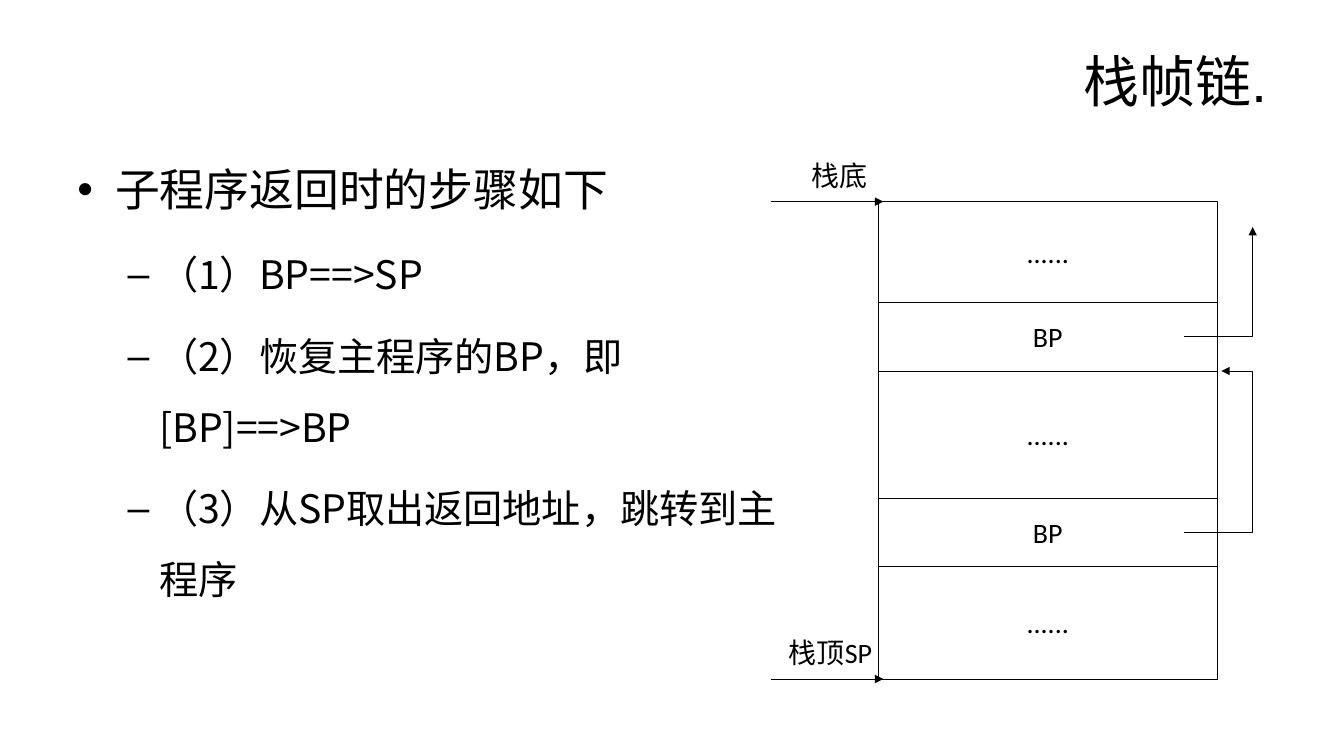
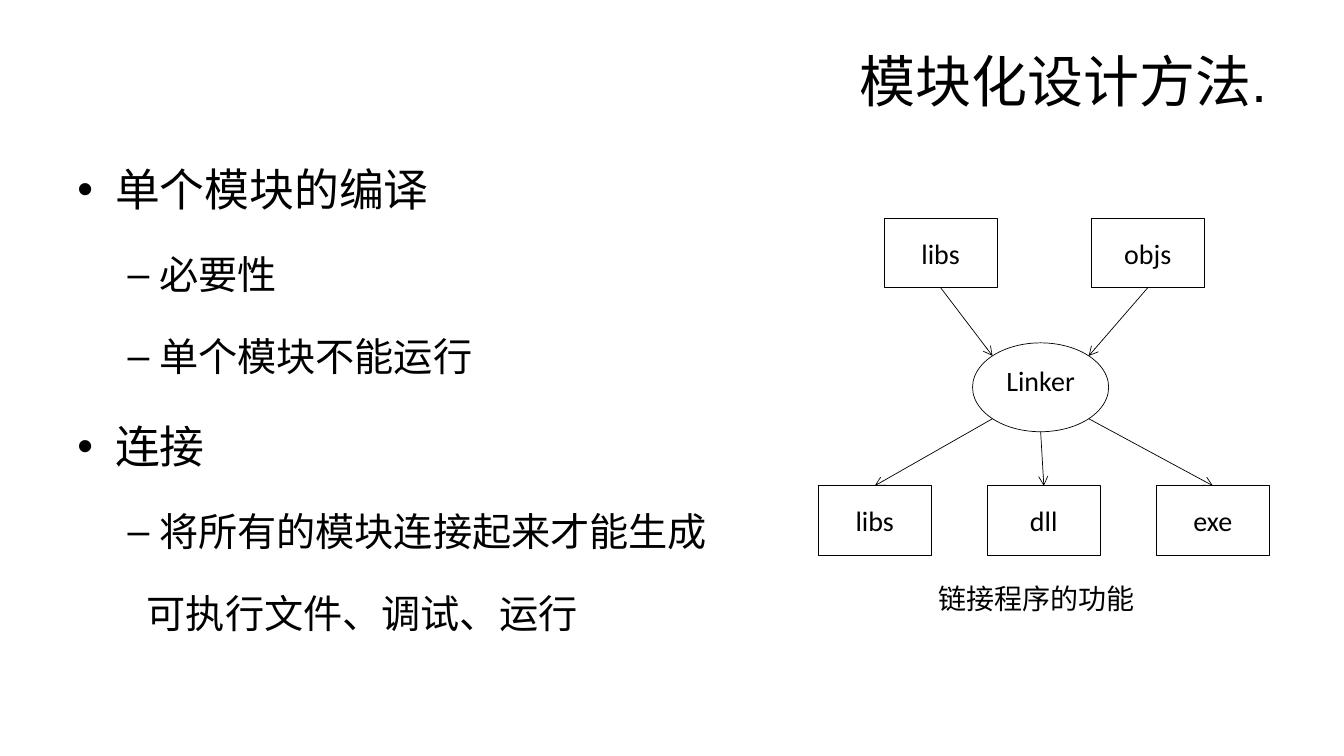
import math

import lxml.etree
import pptx
import pptx.dml.color
import pptx.enum.shapes
import pptx.enum.text
import pptx.oxml.ns
import pptx.util

Cm = pptx.util.Cm
Pt = pptx.util.Pt
qn = pptx.oxml.ns.qn
ALIGN = pptx.enum.text.PP_ALIGN
MIDDLE = pptx.enum.text.MSO_ANCHOR.MIDDLE
SHAPES = pptx.enum.shapes.MSO_SHAPE
STRAIGHT = pptx.enum.shapes.MSO_CONNECTOR.STRAIGHT


def color(hex_text):
    return pptx.dml.color.RGBColor.from_string(hex_text)


def write(paragraph, text, size=20, font="Calibri", ink="000000",
          align=ALIGN.CENTER, before=0, spacing=None):
    """Put formatted text into a paragraph."""
    paragraph.alignment = align
    paragraph.space_before = Pt(before)
    if spacing:
        paragraph.line_spacing = spacing
    run = paragraph.add_run()
    run.text = text
    run.font.size = Pt(size)
    run.font.name = font
    run.font.color.rgb = color(ink)
    east_asian = lxml.etree.SubElement(run.font._element, qn("a:ea"))
    east_asian.set("typeface", Deck.BODY_FONT)


class Deck:
    INK = "000000"
    PAPER = "FFFFFF"
    TITLE_FONT = "Arial"
    BODY_FONT = "Noto Sans CJK SC"
    MARGIN = 1.7
    # Per level: size, space before, left margin, hanging indent, bullet
    LEVELS = [
        (32, 9, 0.95, -0.95, "•"),
        (28, 8, 2.06, -0.79, "–"),
        (28, 8, 1.75, 0, None),
    ]

    def __init__(self):
        self.presentation = pptx.Presentation()
        self.presentation.slide_width = Cm(33.87)
        self.presentation.slide_height = Cm(19.05)
        self.slide = None

    def new_slide(self, heading):
        layout = self.presentation.slide_layouts[5]
        self.slide = self.presentation.slides.add_slide(layout)
        self.slide.background.fill.solid()
        self.slide.background.fill.fore_color.rgb = color(self.PAPER)
        title = self.slide.shapes.title
        title.left, title.top = Cm(self.MARGIN), Cm(0.76)
        title.width, title.height = Cm(30.48), Cm(2.51)
        title.text_frame.vertical_anchor = MIDDLE
        write(title.text_frame.paragraphs[0], heading, size=40,
              font=self.TITLE_FONT, align=ALIGN.RIGHT)

    def outline(self, points):
        """Bulleted text; each point is (level, text)."""
        box = self.slide.shapes.add_textbox(
            Cm(self.MARGIN), Cm(3.28), Cm(18.67), Cm(13.74))
        frame = box.text_frame
        frame.word_wrap = True
        for index, (level, text) in enumerate(points):
            paragraph = frame.add_paragraph() if index else frame.paragraphs[0]
            size, before, margin, indent, bullet = self.LEVELS[level]
            properties = paragraph._p.get_or_add_pPr()
            properties.set("marL", str(Cm(margin)))
            properties.set("indent", str(Cm(indent)))
            if bullet:
                lxml.etree.SubElement(properties, qn("a:buFont")).set("typeface", "Arial")
                lxml.etree.SubElement(properties, qn("a:buChar")).set("char", bullet)
            else:
                lxml.etree.SubElement(properties, qn("a:buNone"))
            write(paragraph, text, size=size, font=self.BODY_FONT,
                  align=ALIGN.LEFT, before=before if index else 0, spacing=1.5)

    def _center(self, frame, text, bottom=0):
        frame.margin_left = frame.margin_right = frame.margin_top = 0
        frame.margin_bottom = Cm(bottom)
        frame.word_wrap = True
        frame.vertical_anchor = MIDDLE
        write(frame.paragraphs[0], text)

    def _stroke(self, shape, head=None):
        shape.line.color.rgb = color(self.INK)
        shape.line.width = Pt(0.5)
        if head:
            line = shape._element.spPr.find(qn("a:ln"))
            lxml.etree.SubElement(line, qn("a:tailEnd")).set("type", head)

    def node(self, text, left, top, width, height, kind=SHAPES.RECTANGLE, bottom=0):
        shape = self.slide.shapes.add_shape(
            kind, Cm(left), Cm(top), Cm(width), Cm(height))
        shape.shadow.inherit = False
        shape.fill.background()
        self._stroke(shape)
        self._center(shape.text_frame, text, bottom)
        return shape

    def label(self, text, left, top, width, height):
        box = self.slide.shapes.add_textbox(Cm(left), Cm(top), Cm(width), Cm(height))
        self._center(box.text_frame, text)

    def arrow(self, start, end, head, source=None, target=None):
        """Straight arrow; source and target are (shape, side) joints."""
        x1, y1, x2, y2 = (Cm(value) for value in (*start, *end))
        connector = self.slide.shapes.add_connector(STRAIGHT, x1, y1, x2, y2)
        if source:
            connector.begin_connect(*source)
        if target:
            connector.end_connect(*target)
        self._stroke(connector, head)
        lxml.etree.SubElement(connector._element.spPr, qn("a:effectLst"))

    def bent_arrow(self, points):
        corners = [(Cm(x), Cm(y)) for x, y in points]
        builder = self.slide.shapes.build_freeform(*corners[0])
        builder.add_line_segments(corners[1:], close=False)
        shape = builder.convert_to_shape()
        shape.shadow.inherit = False
        shape.fill.background()
        self._stroke(shape, "triangle")


def stack_frames(deck):
    deck.new_slide("栈帧链.")
    deck.outline([
        (0, "子程序返回时的步骤如下"),
        (1, "（1）BP==>SP"),
        (1, "（2）恢复主程序的BP，即[BP]==>BP"),
        (1, "（3）从SP取出返回地址，跳转到主程序"),
    ])

    # Stack cells, from the stack bottom down to its top
    left, width, stack_start = 22.14, 8.53, 5.08
    cells = [("......", 2.54), ("BP", 1.73), ("......", 3.2), ("BP", 1.72), ("......", 2.84)]
    edges = [stack_start]
    for text, height in cells:
        deck.node(text, left, edges[-1], width, height)
        edges.append(edges[-1] + height)

    # Saved BP links
    link_left, link_right = 29.84, 31.57
    upper_bp = (edges[1] + edges[2]) / 2
    lower_bp = (edges[3] + edges[4]) / 2
    deck.bent_arrow([(link_left, upper_bp), (link_right, upper_bp), (link_right, 5.72)])
    deck.bent_arrow([(link_left, lower_bp), (link_right, lower_bp),
                     (link_right, edges[2]), (30.78, edges[2])])

    # Stack ends
    for text, label_left, edge in [("栈底", 19.71, edges[0]), ("栈顶SP", 19.48, edges[-1])]:
        deck.label(text, label_left, edge - 1.5, 2.9, 1.65)
        deck.arrow((19.42, edge), (22.26, edge), "triangle")


def modular_design(deck):
    deck.new_slide("模块化设计方法.")
    deck.outline([
        (0, "单个模块的编译"),
        (1, "必要性"),
        (1, "单个模块不能运行"),
        (0, "连接"),
        (1, "将所有的模块连接起来才能生成"),
        (2, "可执行文件、调试、运行"),
    ])

    # Inputs, linker and outputs
    size = (2.85, 1.75)
    inputs = [deck.node(text, left, 5.5, *size)
              for text, left in [("libs", 22.28), ("objs", 27.5)]]
    outputs = [deck.node(text, 20.62 + 4.26 * index, 12.24, *size)
               for index, text in enumerate(["libs", "dll", "exe"])]
    left, top, width, height = 24.51, 8.64, 3.43, 2.24
    deck.node("Linker", left, top, width, height, kind=SHAPES.OVAL, bottom=0.33)

    # Arrows meet the ellipse at its diagonals and its lowest point
    def rim(degrees):
        angle = math.radians(degrees)
        return (left + width / 2 * (1 + math.cos(angle)),
                top + height / 2 * (1 + math.sin(angle)))

    for module, degrees in zip(inputs, [225, 315]):
        deck.arrow(rim(degrees), rim(degrees), "arrow", source=(module, 2))
    for product, degrees in zip(outputs, [135, 90, 45]):
        deck.arrow(rim(degrees), rim(degrees), "arrow", target=(product, 0))

    deck.label("链接程序的功能", 22.6, 14.2, 7.04, 1.75)


def main():
    deck = Deck()
    stack_frames(deck)
    modular_design(deck)
    deck.presentation.save("out.pptx")


if __name__ == "__main__":
    main()
